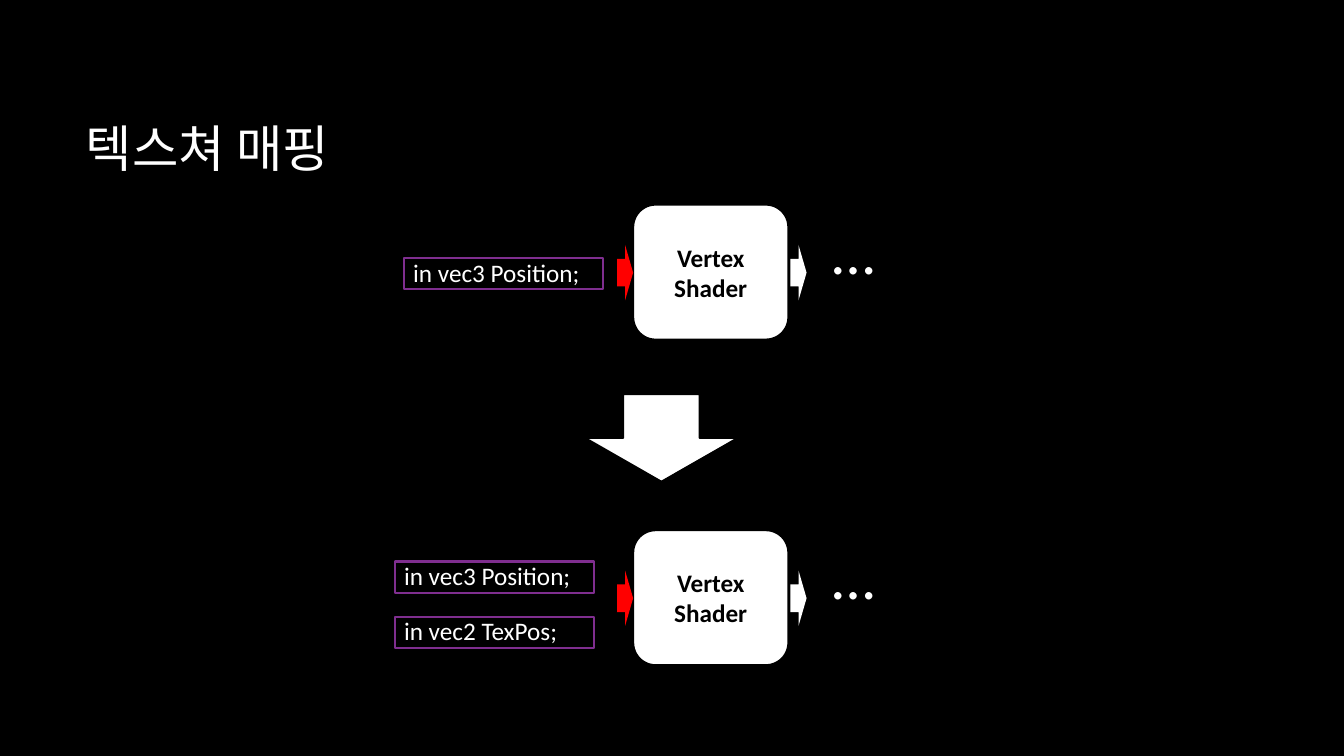
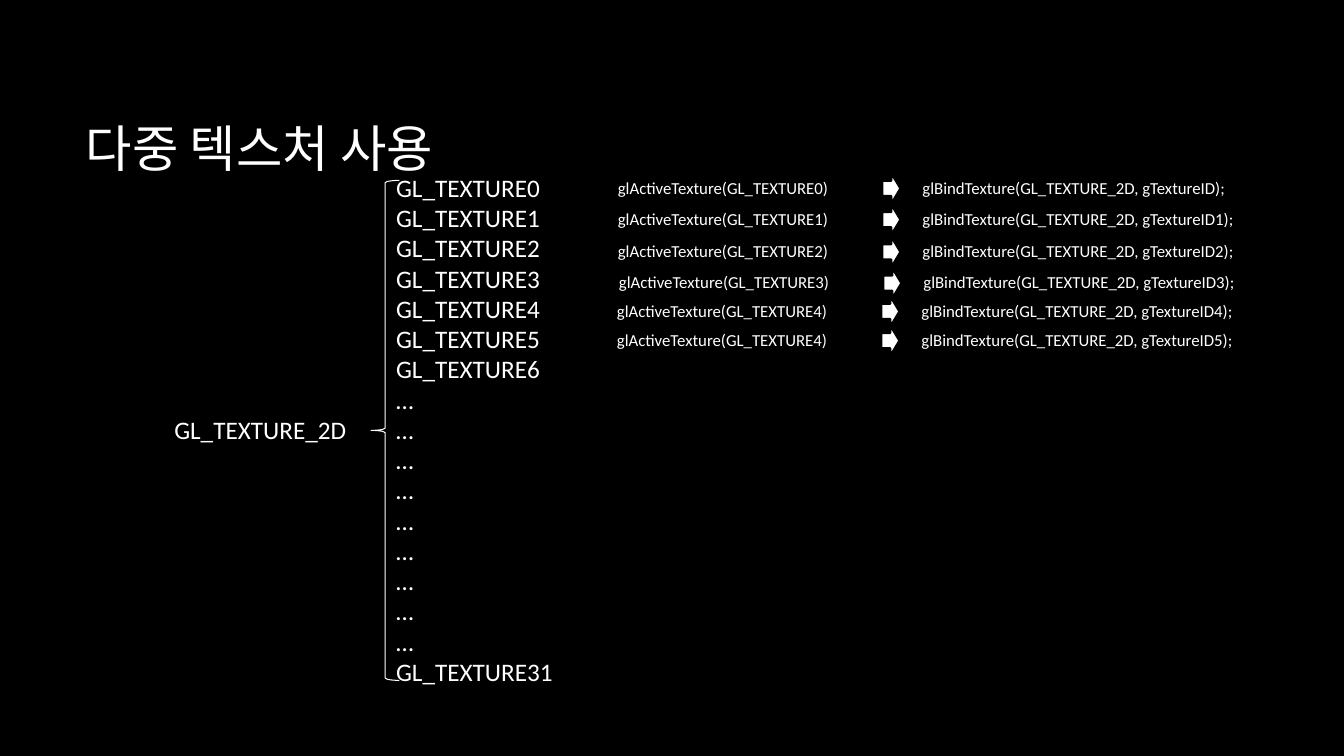
from pptx import Presentation
from pptx.dml.color import RGBColor
from pptx.enum.shapes import MSO_SHAPE
from pptx.enum.text import MSO_ANCHOR, PP_ALIGN
from pptx.util import Inches, Pt

BLACK = RGBColor(0x00, 0x00, 0x00)
WHITE = RGBColor(0xFF, 0xFF, 0xFF)
RED = RGBColor(0xFF, 0x00, 0x00)
PURPLE = RGBColor(0x7F, 0x2E, 0x8F)

FONT = "Calibri"
TITLE_SIZE = 36
TEXT_SIZE = 18
CALL_SIZE = 12
DOTS_SIZE = 44

LEFT = PP_ALIGN.LEFT
CENTER = PP_ALIGN.CENTER
TOP = MSO_ANCHOR.TOP
MIDDLE = MSO_ANCHOR.MIDDLE
RECTANGLE = MSO_SHAPE.RECTANGLE
ROUNDED = MSO_SHAPE.ROUNDED_RECTANGLE
RIGHT_ARROW = MSO_SHAPE.RIGHT_ARROW
DOWN_ARROW = MSO_SHAPE.DOWN_ARROW
LEFT_BRACE = MSO_SHAPE.LEFT_BRACE
TITLE_ONLY = 5


class ShaderDeck:
    def __init__(self):
        self.deck = Presentation()
        self.deck.slide_width = Inches(13.33)
        self.deck.slide_height = Inches(7.5)
        background = self.deck.slide_master.background.fill
        background.solid()
        background.fore_color.rgb = BLACK
        self.page = None
        self.target = None

    def start_page(self, title):
        self.page = self.deck.slides.add_slide(self.deck.slide_layouts[TITLE_ONLY])
        self.target = self.page.shapes
        box = self.page.shapes.title
        box.left, box.top = Inches(0.75), Inches(0.67)
        box.width, box.height = Inches(11.08), Inches(1.59)
        self.add_lines(box, [title], TITLE_SIZE, anchor=MIDDLE)

    def start_group(self):
        self.target = self.page.shapes.add_group_shape().shapes

    def end_group(self):
        self.target = self.page.shapes

    def add_lines(self, box, lines, size, color=WHITE, bold=False, align=LEFT, anchor=TOP):
        frame = box.text_frame
        frame.word_wrap = True
        frame.vertical_anchor = anchor
        for index, line in enumerate(lines):
            para = frame.add_paragraph() if index else frame.paragraphs[0]
            para.alignment = align
            span = para.add_run()
            span.text = line
            span.font.name = FONT
            span.font.size = Pt(size)
            span.font.bold = bold
            span.font.color.rgb = color

    def text(self, left, top, width, height, lines, size=TEXT_SIZE):
        box = self.target.add_textbox(
            Inches(left), Inches(top), Inches(width), Inches(height))
        self.add_lines(box, lines, size)

    def shape(self, kind, left, top, width, height, fill=None, line=None, weight=1.5):
        shape = self.target.add_shape(
            kind, Inches(left), Inches(top), Inches(width), Inches(height))
        shape.shadow.inherit = False
        if fill is None:
            shape.fill.background()
        else:
            shape.fill.solid()
            shape.fill.fore_color.rgb = fill
        if line is None:
            shape.line.fill.background()
        else:
            shape.line.color.rgb = line
            shape.line.width = Pt(weight)
        return shape

    def shader_stage(self, top):
        self.start_group()
        stage = self.shape(ROUNDED, 6.28, top, 1.54, 1.34, WHITE, BLACK)
        self.add_lines(stage, ["Vertex Shader"], TEXT_SIZE, BLACK, True, CENTER, MIDDLE)
        for left, color in ((7.84, WHITE), (6.12, RED)):
            self.shape(RIGHT_ARROW, left, top + 0.4, 0.16, 0.55, color)
        self.text(8.16, top + 0.03, 0.79, 0.84, ["…"], DOTS_SIZE)
        self.end_group()

    def shader_input(self, left, top, declaration):
        self.start_group()
        self.text(left, top, 2.06, 0.4, [declaration])
        self.shape(RECTANGLE, left + 0.01, top + 0.06, 1.97, 0.31, line=PURPLE)
        self.end_group()

    def binding(self, left, top, unit, texture):
        self.text(left, top, 2.7, 0.3, [f"glActiveTexture(GL_TEXTURE{unit})"], CALL_SIZE)
        self.text(left + 3.02, top, 4.08, 0.3,
                  [f"glBindTexture(GL_TEXTURE_2D, gTextureID{texture});"], CALL_SIZE)
        self.shape(RIGHT_ARROW, left + 2.72, top + 0.01, 0.18, 0.3, WHITE, BLACK)


def texture_mapping(slides):
    slides.start_page("텍스쳐 매핑")
    slides.shader_stage(2.03)
    slides.shader_input(4, 2.5, "in vec3 Position;")
    slides.shape(DOWN_ARROW, 5.8, 3.91, 1.52, 0.87, WHITE, BLACK)
    slides.shader_input(3.91, 5.51, "in vec3 Position;")
    slides.shader_input(3.91, 6.06, "in vec2 TexPos;")
    slides.shader_stage(5.26)


def multiple_textures(slides):
    slides.start_page("다중 텍스처 사용")
    slides.text(1.63, 4.06, 2.05, 0.4, ["GL_TEXTURE_2D"])
    slides.shape(LEFT_BRACE, 3.68, 1.79, 0.28, 4.96, line=WHITE, weight=0.75)
    units = [f"GL_TEXTURE{number}" for number in range(7)]
    slides.text(3.83, 1.66, 1.9, 5.25, units + ["…"] * 9 + ["GL_TEXTURE31"])
    bindings = (
        (6.03, 1.71, 0, ""),
        (6.03, 2.02, 1, 1),
        (6.03, 2.34, 2, 2),
        (6.04, 2.65, 3, 3),
        (6.02, 2.93, 4, 4),
        (6.02, 3.22, 4, 5),
    )
    for left, top, unit, texture in bindings:
        slides.binding(left, top, unit, texture)


def main():
    slides = ShaderDeck()
    texture_mapping(slides)
    multiple_textures(slides)
    slides.deck.save("out.pptx")


if __name__ == "__main__":
    main()
